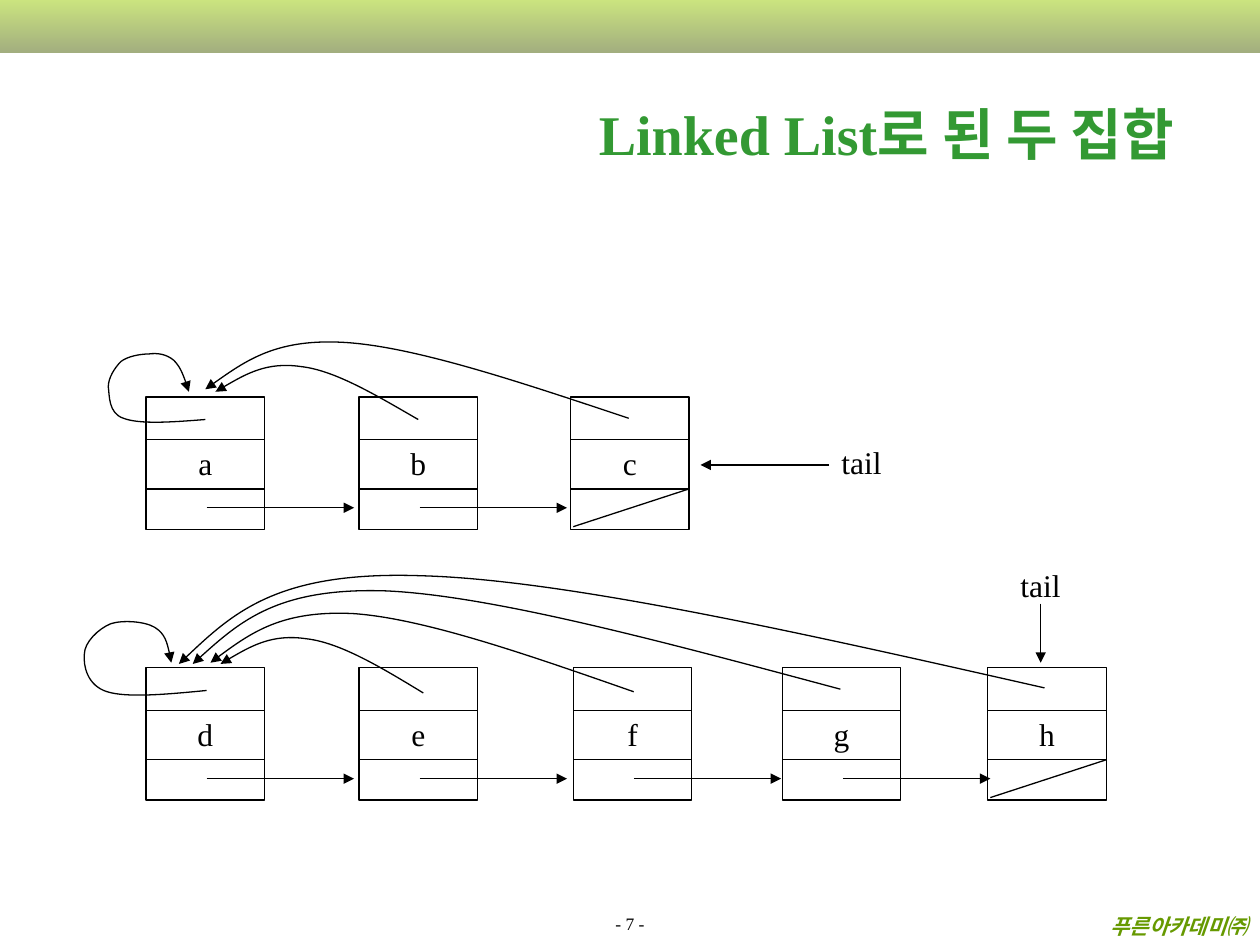
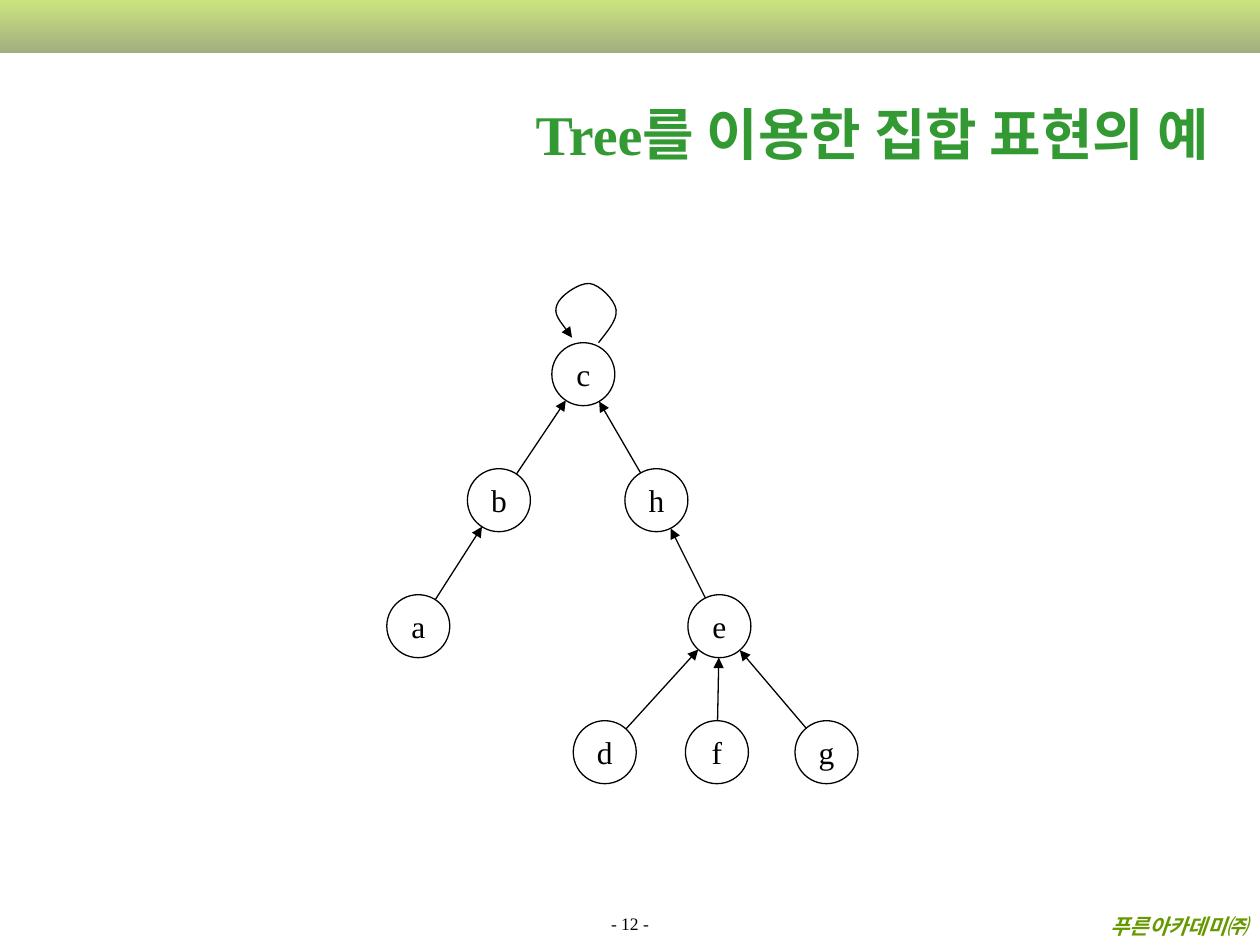
import math
from lxml import etree
from pptx import Presentation
from pptx.dml.color import RGBColor
from pptx.enum.shapes import MSO_CONNECTOR, MSO_SHAPE
from pptx.enum.text import MSO_ANCHOR, MSO_AUTO_SIZE, PP_ALIGN
from pptx.oxml.ns import qn
from pptx.util import Inches, Pt

RECT, OVAL, STRAIGHT = MSO_SHAPE.RECTANGLE, MSO_SHAPE.OVAL, MSO_CONNECTOR.STRAIGHT
LEFT, CENTER, RIGHT = PP_ALIGN.LEFT, PP_ALIGN.CENTER, PP_ALIGN.RIGHT
TOP, MIDDLE, BOTTOM = MSO_ANCHOR.TOP, MSO_ANCHOR.MIDDLE, MSO_ANCHOR.BOTTOM

# Shared look
WIDTH, HEIGHT = 10, 7.5
FONT = "Times New Roman"
BLACK, TITLE_GREEN, FOOTER_GREEN = "000000", "339933", "669900"
BAND_COLORS = ("99CC00", "475E00")
BAND_HEIGHT = 0.42
FOOTER = "푸른아카데미㈜"

# Linked lists: left edge of each cell, and curves back to the head cell
# (start point, then Bezier triples)
CELL_W, CELL_H = 0.94, 1.05
LISTS = [
    dict(top=3.15, cells={"a": 1.16, "b": 2.85, "c": 4.53}, curves=[
        [(3.32, 3.33), (2.99, 3.14), (2.66, 2.94), (2.39, 2.91),
         (2.12, 2.87), (1.91, 2.99), (1.71, 3.11)],
        [(4.99, 3.32), (4.15, 3.04), (3.32, 2.76), (2.76, 2.72),
         (2.2, 2.68), (1.91, 2.89), (1.63, 3.09)],
        [(1.63, 3.33), (1.37, 3.35), (1.11, 3.37), (0.98, 3.32),
         (0.86, 3.28), (0.87, 3.14), (0.86, 3.07),
         (0.86, 3), (0.91, 2.92), (0.96, 2.87),
         (1.01, 2.83), (1.11, 2.81), (1.18, 2.81),
         (1.25, 2.8), (1.32, 2.81), (1.38, 2.86),
         (1.43, 2.91), (1.47, 3.01), (1.5, 3.11)]]),
    dict(top=5.3, cells={"d": 1.16, "e": 2.85, "f": 4.55, "g": 6.21, "h": 7.84}, curves=[
        [(3.36, 5.5), (3.03, 5.3), (2.7, 5.1), (2.43, 5.07),
         (2.16, 5.03), (1.95, 5.15), (1.75, 5.27)],
        [(5.03, 5.49), (4.2, 5.2), (3.37, 4.91), (2.81, 4.87),
         (2.24, 4.84), (1.95, 5.05), (1.67, 5.26)],
        [(6.67, 5.47), (5.29, 5.1), (3.92, 4.73), (3.07, 4.69),
         (2.21, 4.66), (1.87, 4.96), (1.53, 5.27)],
        [(8.29, 5.46), (6.39, 5.03), (4.49, 4.6), (3.34, 4.57),
         (2.2, 4.53), (1.81, 4.9), (1.42, 5.27)],
        [(1.64, 5.48), (1.33, 5.51), (1.01, 5.54), (0.85, 5.49),
         (0.69, 5.44), (0.66, 5.28), (0.67, 5.19),
         (0.67, 5.1), (0.78, 4.99), (0.88, 4.95),
         (0.97, 4.92), (1.15, 4.93), (1.23, 4.98),
         (1.31, 5.03), (1.34, 5.14), (1.36, 5.26)]]),
]
# Label corner, then its arrow
TAILS = [((6.58, 3.47), (6.58, 3.69), (5.56, 3.69)),
         ((8, 4.44), (8.26, 4.79), (8.26, 5.26))]

# Tree: centre x and level of each node, child-parent pairs, loop at the root
NODE_SIZE, ROOT_Y, LEVEL_STEP = 0.5, 2.97, 1
NODES = {"c": (4.63, 0), "b": (3.96, 1), "h": (5.21, 1), "a": (3.32, 2),
         "e": (5.71, 2), "d": (4.8, 3), "f": (5.69, 3), "g": (6.56, 3)}
EDGES = ["bc", "hc", "ab", "eh", "de", "fe", "ge"]
ROOT_LOOP = [(4.75, 2.72), (4.82, 2.63), (4.9, 2.54), (4.89, 2.46),
             (4.88, 2.38), (4.76, 2.26), (4.68, 2.25),
             (4.6, 2.24), (4.44, 2.35), (4.42, 2.42),
             (4.39, 2.49), (4.47, 2.58), (4.54, 2.68)]


def rgb(hex_color):
    return RGBColor.from_string(hex_color)


def write(shape, text, size=18, color=BLACK, bold=False, italic=False,
          align=CENTER, anchor=MIDDLE, wrap=False):
    tf = shape.text_frame
    tf.auto_size = MSO_AUTO_SIZE.NONE
    tf.word_wrap, tf.vertical_anchor = wrap, anchor
    p = tf.paragraphs[0]
    p.alignment = align
    r = p.add_run()
    r.text = text
    r.font.name, r.font.size = FONT, Pt(size)
    r.font.bold, r.font.italic = bold, italic
    r.font.color.rgb = rgb(color)


def add_label(s, text, x, y, w, h, **fmt):
    write(s.shapes.add_textbox(Inches(x), Inches(y), Inches(w), Inches(h)), text, **fmt)


def add_outline(s, kind, text, x, y, w, h):
    sp = s.shapes.add_shape(kind, Inches(x), Inches(y), Inches(w), Inches(h))
    sp.shadow.inherit = False
    sp.fill.background()
    draw_line(sp)
    write(sp, text)


def draw_line(shape, arrow=False):
    shape.line.color.rgb = rgb(BLACK)
    shape.line.width = Pt(0.75)
    if arrow:
        ln = shape.line._get_or_add_ln()
        etree.SubElement(ln, qn("a:tailEnd"), type="triangle")


def add_line(s, start, end, arrow=False):
    c = s.shapes.add_connector(STRAIGHT, *[Inches(v) for v in (*start, *end)])
    draw_line(c, arrow)
    etree.SubElement(c._element.spPr, qn("a:effectLst"))


def add_curve(s, points):
    """Draw an arrow along Bezier segments: a start point, then triples."""
    start, *rest = [(Inches(x), Inches(y)) for x, y in points]
    builder = s.shapes.build_freeform(*start)
    builder.add_line_segments(rest, close=False)
    sp = builder.convert_to_shape()
    steps = list(sp._element.iter(qn("a:lnTo")))
    for i in range(0, len(steps), 3):
        bezier = etree.Element(qn("a:cubicBezTo"))
        steps[i].addprevious(bezier)
        for step in steps[i:i + 3]:
            bezier.append(step[0])
            step.getparent().remove(step)
    sp.shadow.inherit = False
    sp.fill.background()
    draw_line(sp, arrow=True)


def add_slide(prs, title, title_x, page):
    s = prs.slides.add_slide(prs.slide_layouts[5])
    # Band
    band = s.shapes.add_shape(RECT, 0, 0, Inches(WIDTH), Inches(BAND_HEIGHT))
    band.shadow.inherit = False
    band.line.fill.background()
    band.fill.gradient()
    band.fill.gradient_angle = 270
    for stop, color in zip(band.fill.gradient_stops, BAND_COLORS):
        stop.color.rgb = rgb(color)
    for clr in band._element.spPr.find(qn("a:gradFill")).iter(qn("a:srgbClr")):
        etree.SubElement(clr, qn("a:alpha"), val="50000")
    # Footers
    add_label(s, FOOTER, 0.06, 7.2, WIDTH - 0.06, 0.3, size=12, color=FOOTER_GREEN,
              bold=True, italic=True, align=RIGHT, anchor=TOP, wrap=True)
    add_label(s, f"- {page} -", 0, 7.24, WIDTH, 0.22, size=10, anchor=BOTTOM, wrap=True)
    # Title
    t = s.shapes.title
    t.left, t.top = Inches(title_x), Inches(0.53)
    t.width, t.height = Inches(WIDTH - title_x), Inches(1.06)
    write(t, title, size=32, color=TITLE_GREEN, bold=True, wrap=True)
    return s


def add_linked_list(s, top, cells, curves):
    last = list(cells)[-1]
    for name, x in cells.items():
        right = x + CELL_W
        add_outline(s, RECT, name, x, top, CELL_W, CELL_H)
        for dy in (0.34, 0.73):
            add_line(s, (x, top + dy), (right, top + dy))
        if name == last:
            add_line(s, (right, top + 0.73), (x + 0.02, top + 1.03))
        else:
            y = top + 0.88
            add_line(s, (x + 0.48, y), (x + 1.65, y), arrow=True)
    for curve in curves:
        add_curve(s, curve)


def add_tree(s):
    centers = {n: (x, ROOT_Y + level * LEVEL_STEP) for n, (x, level) in NODES.items()}
    radius = NODE_SIZE / 2
    for name, (x, y) in centers.items():
        add_outline(s, OVAL, name, x - radius, y - radius, NODE_SIZE, NODE_SIZE)
    for child, parent in EDGES:
        (x1, y1), (x2, y2) = centers[child], centers[parent]
        share = radius / math.dist((x1, y1), (x2, y2))
        dx, dy = (x2 - x1) * share, (y2 - y1) * share
        add_line(s, (x1 + dx, y1 + dy), (x2 - dx, y2 - dy), arrow=True)
    add_curve(s, ROOT_LOOP)


def main():
    prs = Presentation()
    prs.slide_width, prs.slide_height = Inches(WIDTH), Inches(HEIGHT)

    s = add_slide(prs, "Linked List로 된 두 집합", 4.07, 7)
    for linked_list in LISTS:
        add_linked_list(s, **linked_list)
    for corner, start, end in TAILS:
        add_label(s, "tail", *corner, 0.52, 0.4, align=LEFT, anchor=TOP)
        add_line(s, start, end, arrow=True)

    s = add_slide(prs, "Tree를 이용한 집합 표현의 예", 3.85, 12)
    add_tree(s)
    prs.save("out.pptx")


if __name__ == "__main__":
    main()
